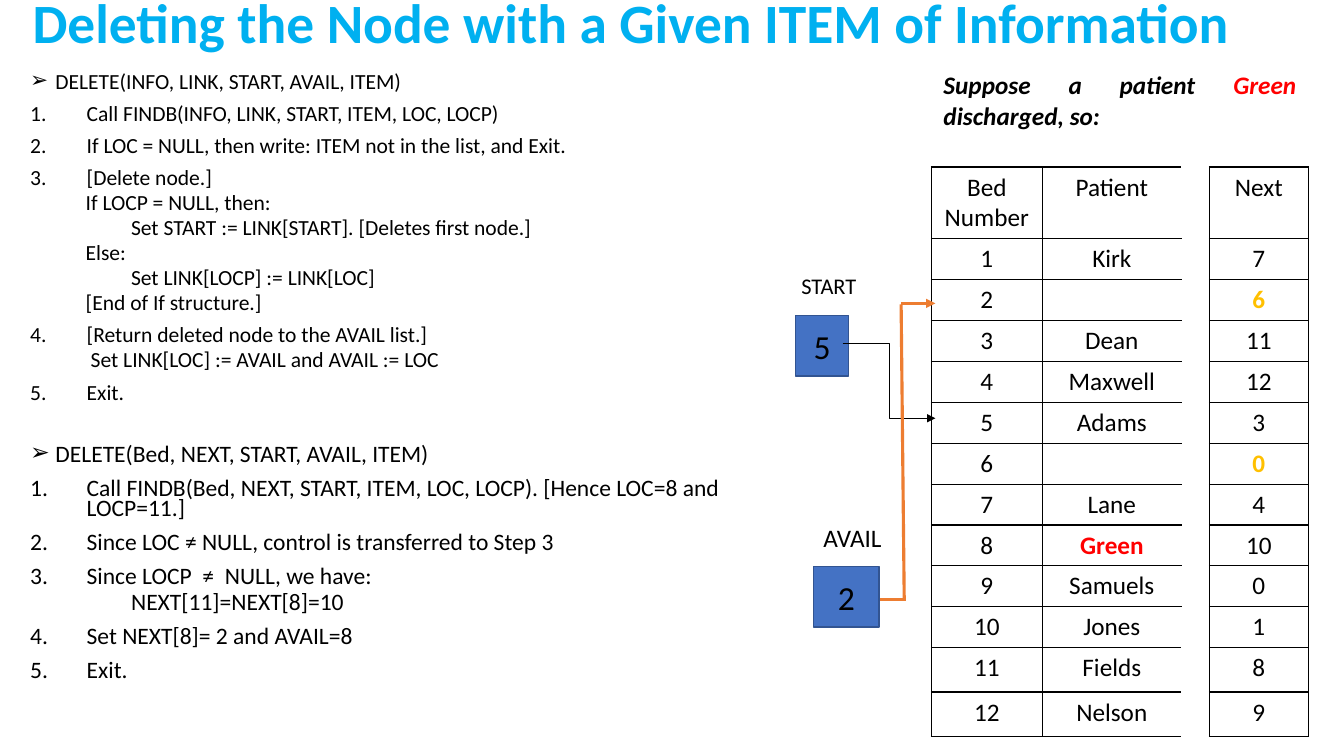
from lxml.etree import SubElement
from pptx import Presentation
from pptx.dml.color import RGBColor
from pptx.enum.shapes import MSO_CONNECTOR as Link, MSO_SHAPE as Preset
from pptx.enum.text import MSO_ANCHOR as Anchor, MSO_AUTO_SIZE as AutoSize, PP_ALIGN as Align
from pptx.oxml.ns import qn
from pptx.util import Inches, Pt

BLACK = RGBColor(0x00, 0x00, 0x00)
SKY = RGBColor(0x00, 0xB0, 0xF0)
RED = RGBColor(0xFF, 0x00, 0x00)
GOLD = RGBColor(0xFF, 0xC0, 0x00)
BLUE = RGBColor(0x44, 0x72, 0xC4)
NAVY = RGBColor(0x32, 0x54, 0x91)
ORANGE = RGBColor(0xED, 0x7D, 0x31)

# Kind of paragraph, text
ALGORITHM = [
    ("head", "DELETE(INFO, LINK, START, AVAIL, ITEM)"),
    ("step", "Call FINDB(INFO, LINK, START, ITEM, LOC, LOCP)"),
    ("step", "If LOC = NULL, then write: ITEM not in the list, and Exit."),
    ("step", "[Delete node.]"),
    ("branch", "If LOCP = NULL, then:"),
    ("action", "Set START := LINK[START]. [Deletes first node.]"),
    ("branch", "Else:"),
    ("action", "Set LINK[LOCP] := LINK[LOC]"),
    ("branch", "[End of If structure.]"),
    ("step", "[Return deleted node to the AVAIL list.]"),
    ("detail", "Set LINK[LOC] := AVAIL and AVAIL := LOC"),
    ("step", "Exit."),
]
EXAMPLE = [
    ("head", "DELETE(Bed, NEXT, START, AVAIL, ITEM)"),
    ("step", "Call FINDB(Bed, NEXT, START, ITEM, LOC, LOCP). [Hence LOC=8 and LOCP=11.]"),
    ("step", "Since LOC ≠ NULL, control is transferred to Step 3"),
    ("step", "Since LOCP  ≠  NULL, we have:"),
    ("action", "NEXT[11]=NEXT[8]=10"),
    ("step", "Set NEXT[8]= 2 and AVAIL=8"),
    ("step", "Exit."),
]
# Kind: level, left margin, first-line indent (inches), space before (points)
OUTLINE = {
    "head": (0, 0.25, -0.25, 10),
    "step": (0, 0.56, -0.56, 10),
    "branch": (1, 0.55, 0, 5),
    "detail": (1, 0.6, 0, 5),
    "action": (2, 1, 0, 5),
}
BULLETS = {"head": ("a:buChar", {"char": "➢"}), "step": ("a:buAutoNum", {"type": "arabicPeriod"})}
SECTION_GAP = 31

PATIENTS = ["Kirk", "", "Dean", "Maxwell", "Adams", "", "Lane", "Green",
            "Samuels", "Jones", "Fields", "Nelson"]
NEXT_BEDS = [7, 6, 11, 12, 3, 0, 4, 10, 0, 1, 8, 9]
GAP_COLUMN = 2
COLUMN_WIDTHS = [8.25, 10.35, 2.03, 7.35]
ROW_HEIGHTS = [13.43, 9.5] + [5.33] * 10 + [5.87] * 2


class Board:
    """Style and current slide; every length is a percentage of the slide's size."""

    font = "Calibri"

    def __init__(self, deck):
        self.deck = deck
        self.slide = deck.slides.add_slide(deck.slide_layouts[1])
        self.shapes = self.slide.shapes

    def x(self, share):
        return round(self.deck.slide_width * share / 100)

    def y(self, share):
        return round(self.deck.slide_height * share / 100)

    def area(self, left, top, width, height):
        return self.x(left), self.y(top), self.x(width), self.y(height)

    def styled_run(self, paragraph, text, size, color=BLACK, bold=False, italic=False):
        run = paragraph.add_run()
        run.text = text
        font = run.font
        font.name, font.size, font.bold, font.italic = self.font, Pt(size), bold, italic
        font.color.rgb = color

    def place(self, holder, *area):
        holder.left, holder.top, holder.width, holder.height = self.area(*area)
        holder.text_frame.auto_size = AutoSize.NONE
        holder.text_frame.word_wrap = True
        return holder.text_frame

    def title(self, text, *area):
        frame = self.place(self.shapes.title, *area)
        frame.vertical_anchor = Anchor.MIDDLE
        heading = frame.paragraphs[0]
        heading.alignment, heading.line_spacing = Align.CENTER, 0.9
        self.styled_run(heading, text, 39.6, SKY, bold=True)

    def outline(self, sections, *area):
        frame = self.place(self.slide.placeholders[1], *area)
        frame.vertical_anchor = Anchor.TOP
        for number, (size, lines) in enumerate(sections):
            for position, (kind, text) in enumerate(lines):
                first = number == position == 0
                line = frame.paragraphs[0] if first else frame.add_paragraph()
                level, margin, indent, before = OUTLINE[kind]
                if number and not position:
                    before = SECTION_GAP
                line.level, line.line_spacing, line.space_before = level, 0.7, Pt(before)
                line.alignment = Align.LEFT
                properties = line._p.get_or_add_pPr()
                properties.set("marL", str(Inches(margin)))
                properties.set("indent", str(Inches(indent)))
                tag, settings = BULLETS.get(kind, ("a:buNone", {}))
                SubElement(properties, qn(tag), settings)
                self.styled_run(line, text, size)

    def cell_border(self, cell):
        properties = cell._tc.get_or_add_tcPr()
        for index, side in enumerate(("a:lnL", "a:lnR", "a:lnT", "a:lnB")):
            edge = properties.makeelement(qn(side), {"w": str(Pt(1))})
            properties.insert(index, edge)
            fill = SubElement(edge, qn("a:solidFill"))
            SubElement(fill, qn("a:srgbClr"), {"val": str(BLACK)})

    def cell_text(self, cell, text, color=BLACK):
        paragraph = cell.text_frame.paragraphs[0]
        paragraph.alignment = Align.CENTER
        if text:
            self.styled_run(paragraph, text, 18, color, bold=color != BLACK)

    def ward_table(self, left, top):
        area = self.area(left, top, sum(COLUMN_WIDTHS), sum(ROW_HEIGHTS))
        table = self.shapes.add_table(len(ROW_HEIGHTS), len(COLUMN_WIDTHS), *area).table
        table.first_row = table.horz_banding = False
        for column, width in zip(table.columns, COLUMN_WIDTHS):
            column.width = self.x(width)
        for row, height in zip(table.rows, ROW_HEIGHTS):
            row.height = self.y(height)
        for cell in table.iter_cells():
            cell.fill.background()
            cell.margin_left = cell.margin_right = Inches(0.12)

        caption = table.cell(0, 0)
        caption.merge(table.cell(0, 3))
        sentence = caption.text_frame.paragraphs[0]
        sentence.alignment = Align.JUSTIFY
        for text, color in (("Suppose a patient ", BLACK), ("Green ", RED), ("discharged, so:", BLACK)):
            self.styled_run(sentence, text, 18, color, bold=True, italic=True)
        table.cell(1, GAP_COLUMN).merge(table.cell(11, GAP_COLUMN))

        records = [("Bed Number", "Patient", "", "Next")]
        records += [(str(bed), patient, "", str(following)) for bed, (patient, following)
                    in enumerate(zip(PATIENTS, NEXT_BEDS), 1)]
        for row, record in enumerate(records, 1):
            is_free = not record[1]
            for column, text in enumerate(record):
                if column == GAP_COLUMN:
                    continue
                color = GOLD if is_free and column == 3 else RED if text == "Green" else BLACK
                cell = table.cell(row, column)
                self.cell_text(cell, text, color)
                self.cell_border(cell)

    def pointer_box(self, value, *area):
        box = self.shapes.add_shape(Preset.RECTANGLE, *self.area(*area))
        box.shadow.inherit = False
        box.fill.solid()
        box.fill.fore_color.rgb = BLUE
        box.line.color.rgb, box.line.width = NAVY, Pt(1)
        box.text_frame.vertical_anchor = Anchor.MIDDLE
        digit = box.text_frame.paragraphs[0]
        digit.alignment = Align.CENTER
        self.styled_run(digit, value, 24)

    def label(self, text, size, *area):
        frame = self.shapes.add_textbox(*self.area(*area)).text_frame
        frame.word_wrap = True
        self.styled_run(frame.paragraphs[0], text, size)

    def link(self, start, end, color, width, kind=Link.STRAIGHT, arrow=False):
        line = self.shapes.add_connector(kind, self.x(start[0]), self.y(start[1]),
                                         self.x(end[0]), self.y(end[1]))
        line.line.color.rgb, line.line.width = color, Pt(width)
        if arrow:
            SubElement(line.line._get_or_add_ln(), qn("a:tailEnd"), {"type": "triangle"})
        SubElement(line._element.spPr, qn("a:effectLst"))


def main():
    deck = Presentation()
    deck.slide_width, deck.slide_height = Inches(13.33), Inches(7.5)
    board = Board(deck)
    board.title("Deleting the Node with a Given ITEM of Information", 0.75, 0, 92.4, 6.8)
    board.outline([(15.4, ALGORITHM), (16.8, EXAMPLE)], 1.5, 9.2, 55.28, 84)
    board.ward_table(69.3, 8.67)

    board.pointer_box("5", 59.18, 41.73, 3.98, 8)
    board.link((62.7, 45.47), (69.6, 55.33), BLACK, 0.5, Link.ELBOW, arrow=True)
    board.label("START", 16, 58.88, 35.33, 8.25, 4.93)
    board.pointer_box("2", 60.53, 74.93, 4.88, 8)
    board.label("AVAIL", 18, 60.53, 68.4, 8.25, 5.33)
    board.link((67.28, 79.2), (67.05, 40.27), ORANGE, 2.25)
    board.link((67.05, 40.13), (69.6, 40.13), ORANGE, 2.25, arrow=True)
    board.link((65.48, 79.33), (67.43, 79.33), ORANGE, 2.25)
    deck.save("out.pptx")


if __name__ == "__main__":
    main()
